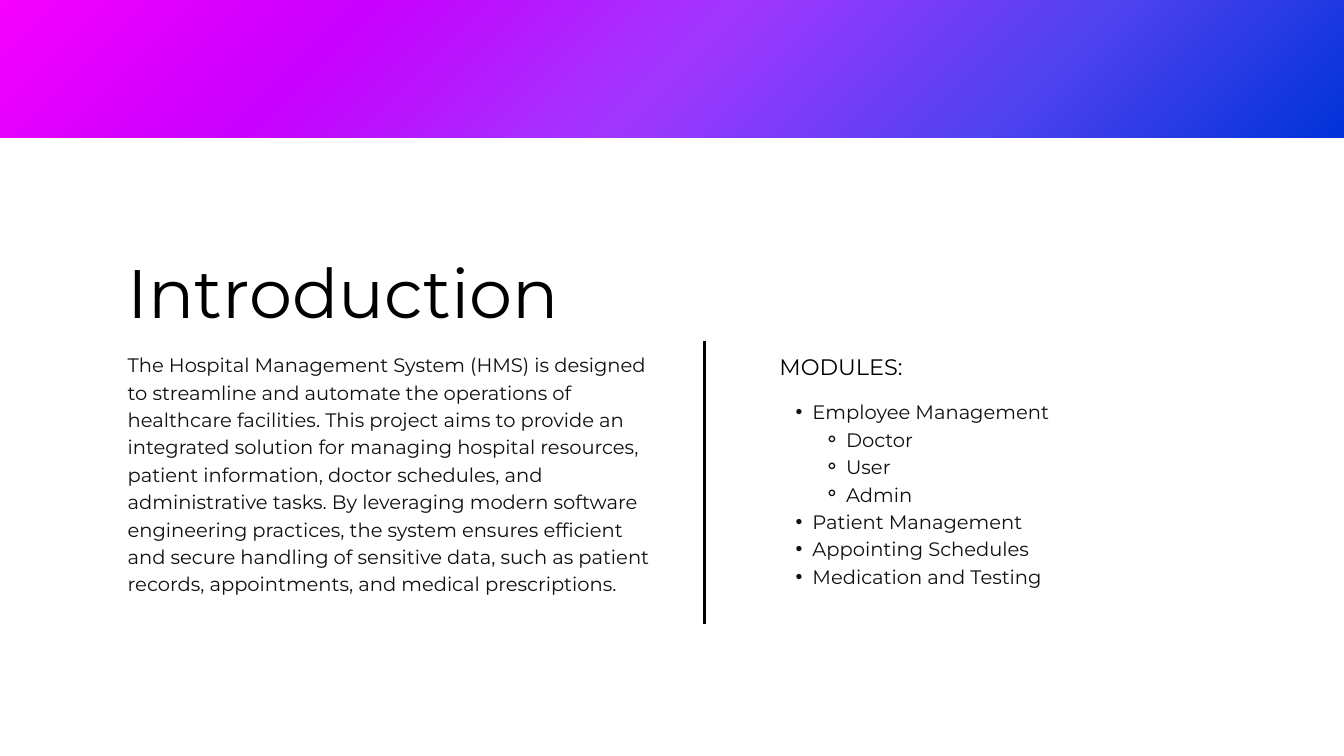
from lxml import etree
from pptx import Presentation
from pptx.dml.color import RGBColor
from pptx.enum.shapes import MSO_CONNECTOR as CONN, MSO_SHAPE as SHAPE
from pptx.enum.text import MSO_ANCHOR as ANCHOR, MSO_AUTO_SIZE as AUTO, PP_ALIGN as ALIGN
from pptx.oxml import parse_xml
from pptx.oxml.ns import nsdecls, qn
from pptx.util import Inches, Pt

FONT = "Montserrat"
BLACK = "000000"
INK = "101010"
BODY_SIZE, BODY_LEADING = 20.9, 29.3
BANNER_COLORS = ["F600FE", "C900FE", "A136FF", "5142F0", "0033D9"]
BULLETS = {1: ("•", 0.49, -0.25), 2: ("⚬", 0.99, -0.33)}
INTRO = (
    "The Hospital Management System (HMS) is designed to streamline and automate "
    "the operations of healthcare facilities. This project aims to provide an "
    "integrated solution for managing hospital resources, patient information, "
    "doctor schedules, and administrative tasks. By leveraging modern software "
    "engineering practices, the system ensures efficient and secure handling of "
    "sensitive data, such as patient records, appointments, and medical prescriptions."
)
MODULES = [
    (1, "Employee Management"),
    (2, "Doctor"),
    (2, "User"),
    (2, "Admin"),
    (1, "Patient Management"),
    (1, "Appointing Schedules"),
    (1, "Medication and Testing"),
]


def rgb(color):
    return RGBColor.from_string(color)


def set_bullet(p, level):
    char, margin, indent = BULLETS.get(level, (None, 0, 0))
    p.level = level
    pPr = p._p.get_or_add_pPr()
    pPr.set("marL", str(Inches(margin)))
    pPr.set("indent", str(Inches(indent)))
    if char:
        etree.SubElement(pPr, qn("a:buChar")).set("char", char)
    else:
        etree.SubElement(pPr, qn("a:buNone"))


def fill_text(sp, box, items, size, leading, color):
    sp.left, sp.top, sp.width, sp.height = map(Inches, box)
    tf = sp.text_frame
    tf.word_wrap = True
    tf.auto_size = AUTO.NONE
    tf.vertical_anchor = ANCHOR.TOP
    tf.margin_left = tf.margin_top = tf.margin_right = tf.margin_bottom = 0
    tf.text = "\n".join(text for _, text in items)
    for p, (level, _) in zip(tf.paragraphs, items):
        p.alignment = ALIGN.LEFT
        p.line_spacing = Pt(leading)
        p.space_before = Pt(0)
        set_bullet(p, level)
        for r in p.runs:
            r.font.name = FONT
            r.font.size = Pt(size)
            r.font.color.rgb = rgb(color)


def add_banner(s, box, colors):
    sp = s.shapes.add_shape(SHAPE.RECTANGLE, *map(Inches, box))
    sp.shadow.inherit = False
    sp.line.fill.background()
    step = 100000 // (len(colors) - 1)
    stops = "".join(
        f'<a:gs pos="{i * step}"><a:srgbClr val="{c}"/></a:gs>'
        for i, c in enumerate(colors)
    )
    grad = parse_xml(
        f'<a:gradFill {nsdecls("a")} rotWithShape="1"><a:gsLst>{stops}</a:gsLst>'
        '<a:lin ang="2700000" scaled="0"/></a:gradFill>'
    )
    sp._element.spPr.find(qn("a:prstGeom")).addnext(grad)


def add_divider(s, x, top, bottom):
    line = s.shapes.add_connector(CONN.STRAIGHT, *map(Inches, (x, top, x, bottom)))
    line.line.color.rgb = rgb(BLACK)
    line.line.width = Pt(3)
    etree.SubElement(line._element.spPr, qn("a:effectLst"))


def main():
    prs = Presentation()
    prs.slide_width, prs.slide_height = Inches(20), Inches(11.25)
    s = prs.slides.add_slide(prs.slide_layouts[3])
    title, intro, modules = s.placeholders
    heading = s.shapes.add_textbox(0, 0, 0, 0)

    fill_text(title, (1.9, 3.52, 9.18, 1.36), [(0, "Introduction")], 73.4, 102.8, BLACK)
    fill_text(intro, (1.9, 5.2, 7.87, 4.01), [(0, INTRO)], BODY_SIZE, BODY_LEADING, INK)
    fill_text(heading, (11.6, 5.19, 4.93, 0.43), [(0, "MODULES:")], 24, 33.6, BLACK)
    fill_text(modules, (11.6, 5.9, 4.72, 2.83), MODULES, BODY_SIZE, BODY_LEADING, INK)
    add_banner(s, (0, 0, 20, 2.05), BANNER_COLORS)
    add_divider(s, 10.48, 5.07, 9.28)
    prs.save("out.pptx")


if __name__ == "__main__":
    main()
